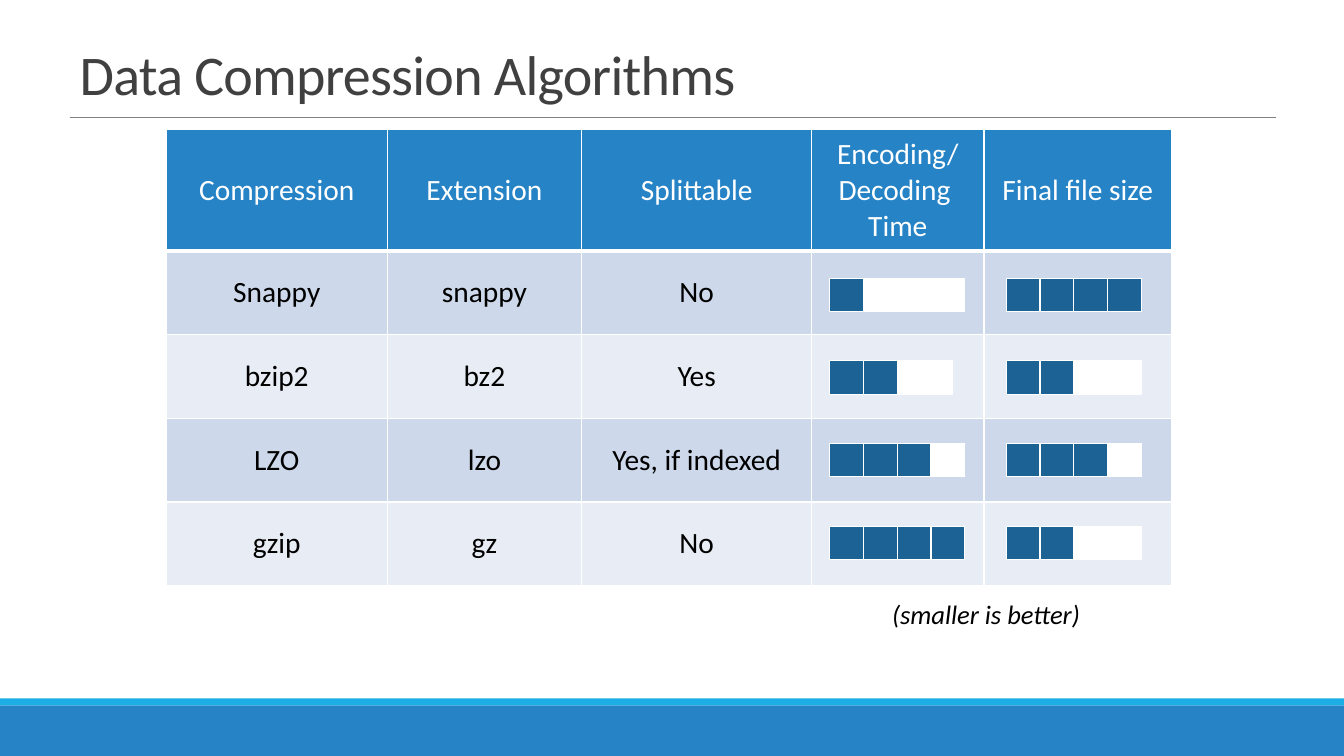
from lxml import etree
from pptx import Presentation
from pptx.dml.color import RGBColor
from pptx.enum.shapes import MSO_CONNECTOR as CONN, MSO_SHAPE as SHAPE
from pptx.enum.text import MSO_ANCHOR as ANCHOR, MSO_AUTO_SIZE as AUTO, PP_ALIGN as ALIGN
from pptx.oxml.ns import qn
from pptx.util import Inches, Pt

WHITE = RGBColor(0xFF, 0xFF, 0xFF)
BLACK = RGBColor(0, 0, 0)
BLUE = RGBColor(0x26, 0x83, 0xC6)
CYAN = RGBColor(0x1C, 0xAD, 0xE4)
DARK_BLUE = RGBColor(0x1D, 0x62, 0x94)
BAND = RGBColor(0xCD, 0xD9, 0xEA)
LIGHT_BAND = RGBColor(0xE8, 0xED, 0xF5)
GREY = RGBColor(0x80, 0x80, 0x80)
TITLE_GREY = RGBColor(0x40, 0x40, 0x40)

HEADERS = ["Compression", "Extension", "Splittable",
           "Encoding/\nDecoding \nTime", "Final file size"]
# Name, extension, splittable, time score, size score
ALGORITHMS = [
    ("Snappy", "snappy", "No", 1, 4),
    ("bzip2", "bz2", "Yes", 2, 2),
    ("LZO", "lzo", "Yes, if indexed", 3, 3),
    ("gzip", "gz", "No", 4, 2),
]
COL_WIDTHS = [2.19, 1.93, 2.28, 1.71, 1.86]
HEADER_H, ROW_H = 1.2, 0.83
SQUARE = 0.335


def write(tf, text, size, color=BLACK, align=ALIGN.CENTER, italic=False, spacing=None):
    p = tf.paragraphs[0]
    p.text = text
    p.alignment = align
    for r in p.runs:
        r.font.name = "Calibri"
        r.font.size = Pt(size)
        r.font.color.rgb = color
        r.font.italic = italic
        if spacing is not None:
            r.font._element.set("spc", str(int(spacing * 100)))
    return p


def set_insets(box, x, y):
    box.margin_left = box.margin_right = Inches(x)
    box.margin_top = box.margin_bottom = Inches(y)


def style_cell(cell, fill, bottom=1):
    """White borders first, then the fill, as the schema orders them."""
    tc_pr = cell._tc.get_or_add_tcPr()
    for side, width in (("L", 1), ("R", 1), ("T", 1), ("B", bottom)):
        ln = etree.SubElement(tc_pr, qn(f"a:ln{side}"), w=str(Pt(width)))
        solid = etree.SubElement(ln, qn("a:solidFill"))
        etree.SubElement(solid, qn("a:srgbClr"), val=str(WHITE))
    cell.fill.solid()
    cell.fill.fore_color.rgb = fill
    cell.vertical_anchor = ANCHOR.MIDDLE


def add_plain_table(s, left, top, widths, heights):
    frame = s.shapes.add_table(len(heights), len(widths), Inches(left), Inches(top),
                               Inches(sum(widths)), Inches(sum(heights)))
    table = frame.table
    table.first_row = table.horz_banding = False
    for col, width in zip(table.columns, widths):
        col.width = Inches(width)
    for row, height in zip(table.rows, heights):
        row.height = Inches(height)
    return table


def add_footer(s, left, top, width, height):
    strip = 0.07
    for y, h, color in ((top, strip, CYAN), (top + strip, height - strip, BLUE)):
        bar = s.shapes.add_shape(SHAPE.RECTANGLE, Inches(left), Inches(y),
                                 Inches(width), Inches(h))
        bar.shadow.inherit = False
        bar.fill.solid()
        bar.fill.fore_color.rgb = color
        bar.line.fill.background()


def add_title(s, left, top, width, height):
    title = s.shapes.title
    title.left, title.top = Inches(left), Inches(top)
    title.width, title.height = Inches(width), Inches(height)
    tf = title.text_frame
    tf.auto_size = AUTO.NONE
    tf.vertical_anchor = ANCHOR.BOTTOM
    p = write(tf, "Data Compression Algorithms", 40, TITLE_GREY, ALIGN.LEFT, spacing=-0.5)
    p.line_spacing = 0.85

    # Rule under the title
    y = Inches(top + height + 0.05)
    rule = s.shapes.add_connector(CONN.STRAIGHT, Inches(left), y, Inches(left + width), y)
    rule.line.color.rgb = GREY
    rule.line.width = Pt(0.5)
    etree.SubElement(rule._element.spPr, qn("a:effectLst"))


def add_rating(s, left, top, score, last=SQUARE):
    """Four squares, the first ones filled up to the score."""
    table = add_plain_table(s, left, top, [SQUARE] * 3 + [last], [0.33])
    for i, cell in enumerate(table.rows[0].cells):
        style_cell(cell, DARK_BLUE if i < score else WHITE)
        set_insets(cell, 0, 0)
        etree.SubElement(cell.text_frame.paragraphs[0]._p, qn("a:endParaRPr"), sz="800")


def add_comparison(s, left, top):
    heights = [HEADER_H] + [ROW_H] * len(ALGORITHMS)
    table = add_plain_table(s, left, top, COL_WIDTHS, heights)
    for r, values in enumerate([HEADERS] + ALGORITHMS):
        header = r == 0
        fill = BLUE if header else BAND if r % 2 else LIGHT_BAND
        for c, value in enumerate(values):
            cell = table.cell(r, c)
            style_cell(cell, fill, bottom=3 if header else 1)
            set_insets(cell, 0.13, 0.07)
            if isinstance(value, str):
                write(cell.text_frame, value, 21, WHITE if header else BLACK)

    # Ratings over the last two columns
    for i, (name, _, _, time, size) in enumerate(ALGORITHMS):
        y = top + HEADER_H + 0.28 + 0.82 * i
        add_rating(s, left + 6.58, y, time, 0.21 if name == "bzip2" else SQUARE)
        add_rating(s, left + 8.33, y, size)


def add_note(s, left, top, width, height):
    tf = s.shapes.add_textbox(Inches(left), Inches(top), Inches(width),
                              Inches(height)).text_frame
    tf.word_wrap = True
    set_insets(tf, 0.13, 0.07)
    write(tf, "(smaller is better)", 19, italic=True)


def main():
    prs = Presentation()
    prs.slide_width, prs.slide_height = Inches(13.33), Inches(7.5)
    s = prs.slides.add_slide(prs.slide_layouts[5])
    add_footer(s, 0, 6.93, 13.33, 0.57)
    add_title(s, 0.69, 0.31, 11.97, 0.8)
    add_comparison(s, 1.65, 1.28)
    add_note(s, 8.2, 5.86, 3.16, 0.45)
    prs.save("out.pptx")


if __name__ == "__main__":
    main()
